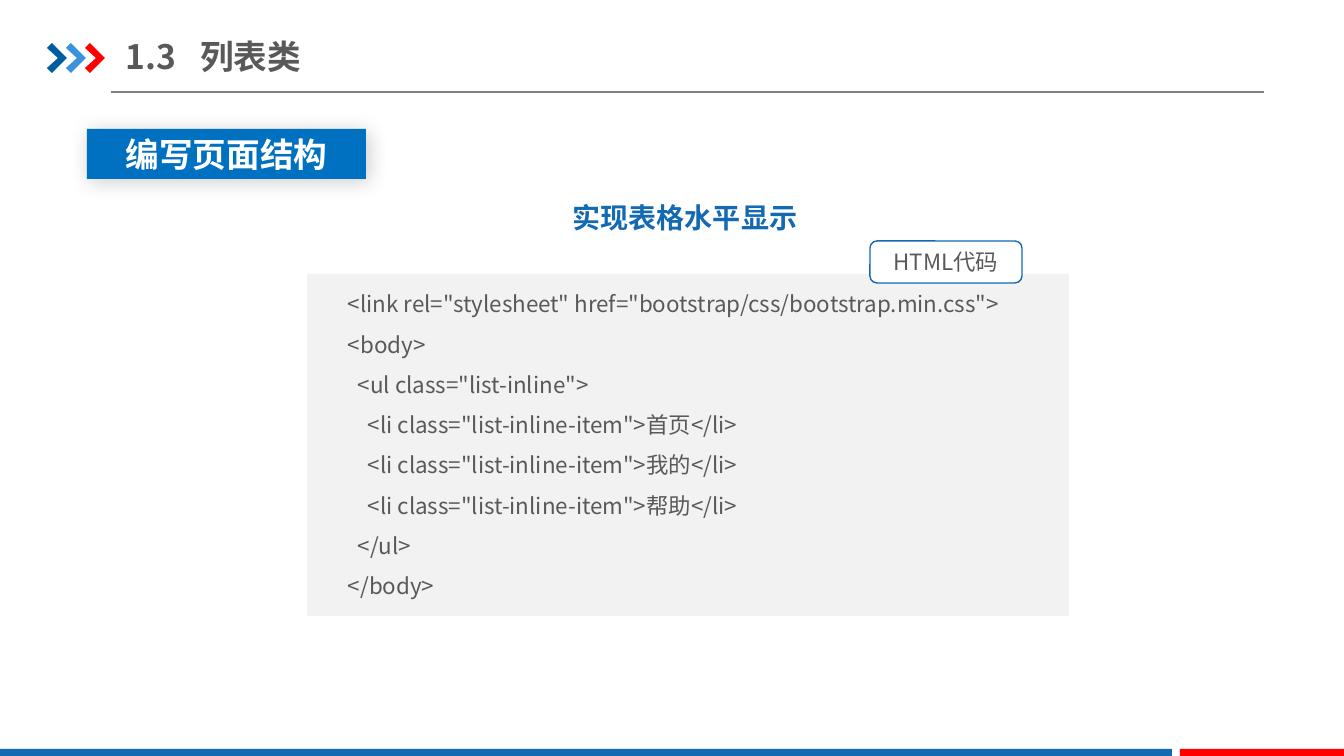
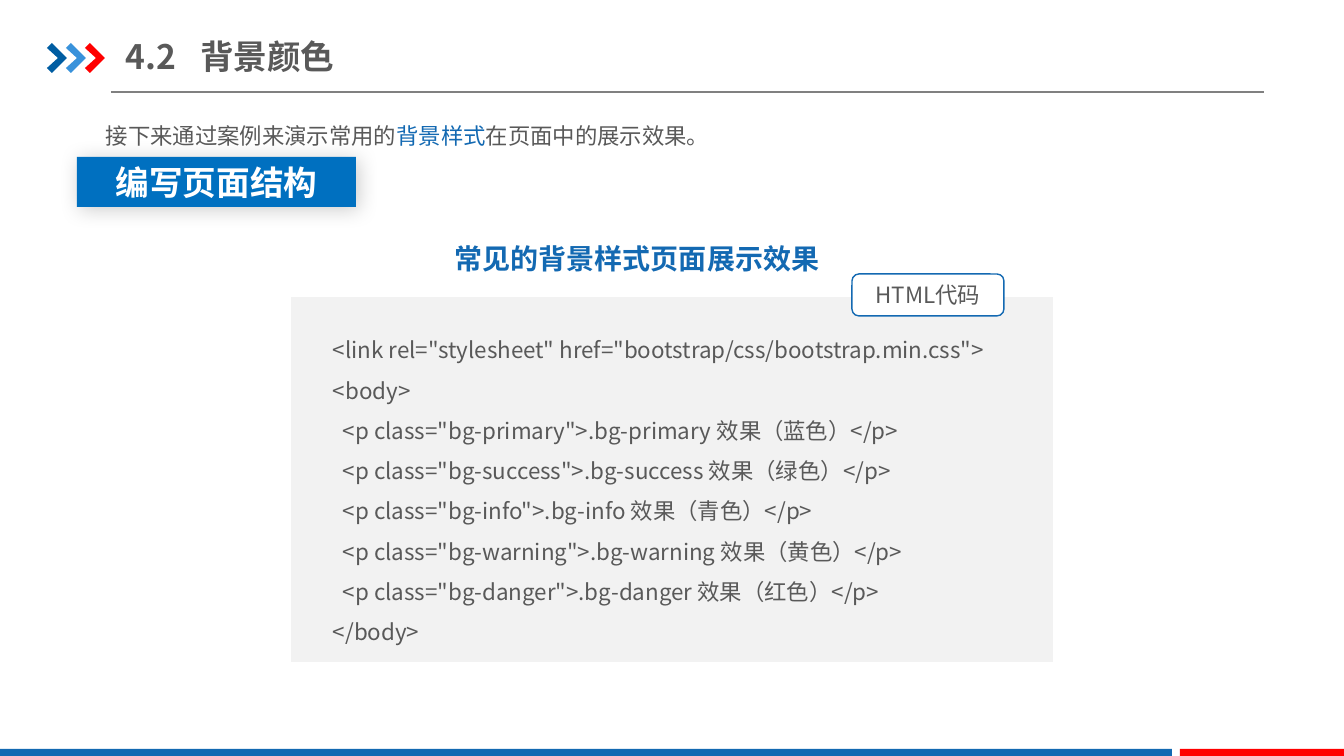
import pptx
import pptx.dml.color
import pptx.enum.shapes
import pptx.enum.text
import pptx.oxml
import pptx.oxml.ns
import pptx.util
from dataclasses import dataclass
from typing import Any, NamedTuple

EMU_PER_PX = 914400 / 100.8
COLORS = {
    "blue": "1369B2", "deep": "005DA2", "sky": "3992DB", "red": "FF0000",
    "badge": "0070C0", "text": "595959", "rule": "808080",
    "panel": "F2F2F2", "white": "FFFFFF",
}
CJK_FONT = "Noto Sans CJK SC"
SHAPES = pptx.enum.shapes.MSO_SHAPE
ALIGN = pptx.enum.text.PP_ALIGN
ANCHOR = pptx.enum.text.MSO_ANCHOR


class Box(NamedTuple):
    left: int
    top: int
    width: int
    height: int


class Span(NamedTuple):
    text: str
    color: str = "text"


@dataclass(frozen=True)
class TextStyle:
    size: int
    color: str = "text"
    bold: bool = False
    align: Any = ALIGN.LEFT
    spacing: float = 1.0
    font: str = CJK_FONT


TITLE = TextStyle(24, bold=True)
CODE = TextStyle(16, spacing=1.5)
TAG = TextStyle(16, align=ALIGN.CENTER)
HEADING = TextStyle(20, "blue", True, ALIGN.CENTER, 1.5)
BADGE = TextStyle(24, "white", True, ALIGN.CENTER, font="Arial")
INTRO = TextStyle(16, align=ALIGN.JUSTIFY, spacing=1.5)


@dataclass(frozen=True)
class CodeSlide:
    number: str
    name: str
    heading: str
    code: str
    panel: Box
    code_box: Box
    tag_box: Box
    heading_box: Box
    badge_box: Box
    intro: tuple[Span, ...] = ()


def px(length: float) -> int:
    return round(length * EMU_PER_PX)


def rgb(name: str) -> pptx.dml.color.RGBColor:
    return pptx.dml.color.RGBColor.from_string(COLORS[name])


def xml(tag: str, content: str = "", attributes: str = "") -> Any:
    namespace = pptx.oxml.ns.nsdecls("a")
    return pptx.oxml.parse_xml(f"<a:{tag} {namespace} {attributes}>{content}</a:{tag}>")


# Text
def format_run(run: Any, style: TextStyle, color: str) -> None:
    run.font.size = pptx.util.Pt(style.size)
    run.font.bold = style.bold
    run.font.color.rgb = rgb(color)
    run.font.name = style.font
    latin = run.font._element.find(pptx.oxml.ns.qn("a:latin"))
    latin.addnext(xml("ea", attributes=f'typeface="{CJK_FONT}"'))


def set_text(frame: Any, text: str, style: TextStyle) -> None:
    frame.text = text
    frame.word_wrap = True
    for paragraph in frame.paragraphs:
        paragraph.alignment = style.align
        paragraph.line_spacing = style.spacing
        for run in paragraph.runs:
            format_run(run, style, style.color)


def set_margins(frame: Any, horizontal: int, vertical: int) -> None:
    frame.margin_left = frame.margin_right = px(horizontal)
    frame.margin_top = frame.margin_bottom = px(vertical)


def add_text(slide: Any, box: Box, text: str, style: TextStyle) -> Any:
    shape = slide.shapes.add_textbox(*map(px, box))
    set_text(shape.text_frame, text, style)
    return shape


def add_intro(slide: Any, box: Box, spans: tuple[Span, ...]) -> None:
    frame = add_text(slide, box, "", INTRO).text_frame
    set_margins(frame, 13, 7)
    for span in spans:
        run = frame.paragraphs[0].add_run()
        run.text = span.text
        format_run(run, INTRO, span.color)


# Shapes
def paint(shape: Any, fill: str) -> None:
    shape.shadow.inherit = False
    shape.fill.solid()
    shape.fill.fore_color.rgb = rgb(fill)
    shape.line.fill.background()


def add_block(slide: Any, box: Box, fill: str, kind: Any = SHAPES.RECTANGLE) -> Any:
    shape = slide.shapes.add_shape(kind, *map(px, box))
    paint(shape, fill)
    return shape


def add_tag(slide: Any, box: Box) -> None:
    tag = add_block(slide, box, "white", SHAPES.ROUNDED_RECTANGLE)
    tag.adjustments[0] = 0.167
    tag.line.color.rgb = rgb("blue")
    tag.line.width = pptx.util.Pt(1)
    set_text(tag.text_frame, "HTML代码", TAG)
    tag.text_frame.vertical_anchor = ANCHOR.TOP


def add_badge(slide: Any, box: Box) -> None:
    badge = add_block(slide, box, "badge")
    effects = badge._element.spPr.find(pptx.oxml.ns.qn("a:effectLst"))
    effects.append(xml(
        "outerShdw",
        '<a:srgbClr val="000000"><a:alpha val="20000"/></a:srgbClr>',
        f'blurRad="{pptx.util.Pt(15)}" dist="{pptx.util.Pt(3)}" '
        f'dir="{45 * 60000}" algn="tl" rotWithShape="0"',
    ))
    set_text(badge.text_frame, "编写页面结构", BADGE)
    badge.text_frame.vertical_anchor = ANCHOR.MIDDLE


# Decoration shared through the layout
def add_decoration(slide: Any, layout: Any) -> None:
    rule = slide.shapes.add_connector(
        pptx.enum.shapes.MSO_CONNECTOR.STRAIGHT, px(111), px(92), px(1264), px(92))
    rule.line.color.rgb = rgb("rule")
    rule.line.width = pptx.util.Pt(0.75)
    rule._element.spPr.append(xml("effectLst"))

    chevrons = slide.shapes.add_group_shape()
    outline = [(0, 5), (5, 0), (20, 15), (5, 30), (0, 25), (11, 15)]
    for index, color in enumerate(("deep", "sky", "red")):
        points = [(47 + 19 * index + x, 43 + y) for x, y in outline]
        builder = chevrons.shapes.build_freeform(*points[0], scale=EMU_PER_PX)
        builder.add_line_segments(points[1:], close=True)
        paint(builder.convert_to_shape(), color)

    bars = [add_block(slide, Box(0, 749, 1172, 7), "blue"),
            add_block(slide, Box(1180, 749, 164, 7), "red")]
    for shape in (rule, chevrons, *bars):
        layout.shapes.element.append(shape.element)


def add_title(slide: Any, number: str, name: str) -> None:
    title = slide.shapes.title
    title.left, title.top, title.width, title.height = map(px, Box(126, 29, 429, 55))
    frame = title.text_frame
    set_text(frame, f"{number}\t{name}", TITLE)
    set_margins(frame, 0, 7)
    frame.vertical_anchor = ANCHOR.MIDDLE
    frame.auto_size = pptx.enum.text.MSO_AUTO_SIZE.NONE
    properties = frame.paragraphs[0]._p.get_or_add_pPr()
    properties.append(xml("tabLst", f'<a:tab pos="{px(74)}" algn="l"/>'))


def add_code_slide(slide: Any, content: CodeSlide) -> None:
    add_title(slide, content.number, content.name)
    add_block(slide, content.panel, "panel")
    add_text(slide, content.code_box, content.code, CODE)
    add_tag(slide, content.tag_box)
    add_text(slide, content.heading_box, content.heading, HEADING)
    if content.intro:
        add_intro(slide, Box(93, 102, 1151, 49), content.intro)
    add_badge(slide, content.badge_box)


LIST_CODE = """<link rel="stylesheet" href="bootstrap/css/bootstrap.min.css">
<body>
  <ul class="list-inline">
    <li class="list-inline-item">首页</li>
    <li class="list-inline-item">我的</li>
    <li class="list-inline-item">帮助</li>
  </ul>
</body>"""

BACKGROUND_CODE = """<link rel="stylesheet" href="bootstrap/css/bootstrap.min.css">
<body>
  <p class="bg-primary">.bg-primary 效果（蓝色）</p>
  <p class="bg-success">.bg-success 效果（绿色）</p>
  <p class="bg-info">.bg-info 效果（青色）</p>
  <p class="bg-warning">.bg-warning 效果（黄色）</p>
  <p class="bg-danger">.bg-danger 效果（红色）</p>
</body>"""

CODE_SLIDES = [
    CodeSlide(
        "1.3", "列表类", "实现表格水平显示", LIST_CODE,
        panel=Box(307, 274, 762, 342),
        code_box=Box(338, 272, 719, 336),
        tag_box=Box(870, 241, 152, 42),
        heading_box=Box(394, 179, 582, 55),
        badge_box=Box(87, 129, 279, 50),
    ),
    CodeSlide(
        "4.2", "背景颜色", "常见的背景样式页面展示效果", BACKGROUND_CODE,
        panel=Box(291, 297, 762, 365),
        code_box=Box(323, 318, 719, 336),
        tag_box=Box(852, 274, 152, 42),
        heading_box=Box(346, 220, 582, 55),
        badge_box=Box(77, 157, 279, 50),
        intro=(Span("接下来通过案例来演示常用的"), Span("背景样式", "blue"),
               Span("在页面中的展示效果。")),
    ),
]


def main() -> None:
    presentation = pptx.Presentation()
    presentation.slide_width = px(1344)
    presentation.slide_height = px(756)
    layout = presentation.slide_layouts.get_by_name("Title Only")
    slides = [presentation.slides.add_slide(layout) for _ in CODE_SLIDES]
    add_decoration(slides[0], layout)
    for slide, content in zip(slides, CODE_SLIDES):
        add_code_slide(slide, content)
    presentation.save("out.pptx")


if __name__ == "__main__":
    main()
